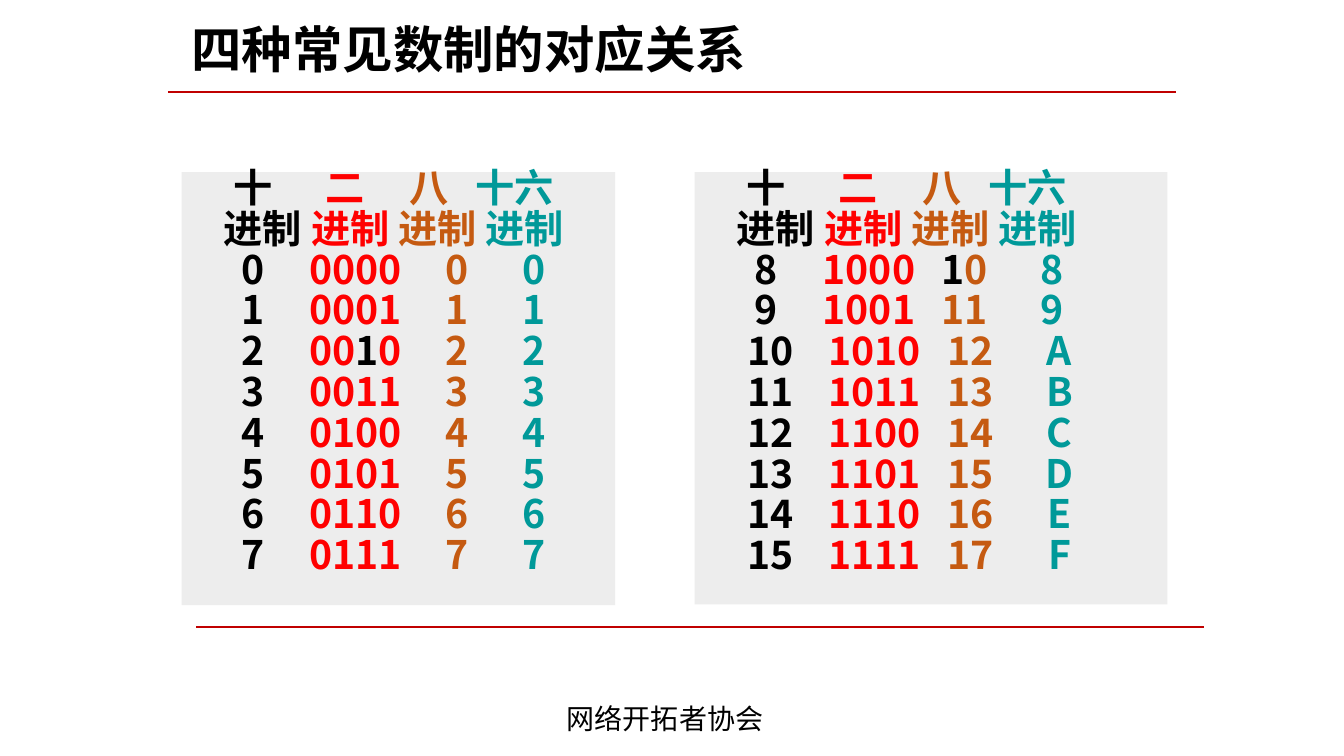
from dataclasses import dataclass

from lxml import etree
from pptx import Presentation
from pptx import util as u
from pptx.dml import color
from pptx.enum import shapes, text
from pptx.oxml import ns


@dataclass(frozen=True)
class Theme:
    font: str = "Noto Sans CJK SC"
    ink: str = "000000"
    rule: str = "C00000"
    panel: str = "EDEDED"
    bases: tuple = ("000000", "FF0000", "C55A11", "009999")
    title_size: int = 36
    table_size: int = 28
    footer_size: int = 20


THEME = Theme()
HEADINGS = ("十", "二", "八", "十六")
HEADING_STOPS = (45, 110.7, 170.7, 231.4)
UNIT_STOPS = (51.8, 114.3, 176.4, 238.6)
LOW_STOPS = (44.6, 117.9, 190.7, 245.4)
MIDDLE_STOPS = (45, 118.2, 186.4, 249.3)
HIGH_STOPS = (47.9, 122.1, 190.7, 254.3)
INK_DIGITS = {(2, 1): "00|1|0", (8, 2): "|1|0"}


def rgb(value):
    return color.RGBColor.from_string(value)


def write(paragraph, words, size, colour=THEME.ink, bold=False):
    run = paragraph.add_run()
    run.text = words
    run.font.name = THEME.font
    run.font.size = u.Pt(size)
    run.font.bold = bold
    run.font.color.rgb = rgb(colour)
    east_asian = etree.SubElement(run.font._element, ns.qn("a:ea"))
    east_asian.set("typeface", THEME.font)


def frame_line(frame, words, size, bold=False):
    frame.word_wrap = True
    frame.auto_size = text.MSO_AUTO_SIZE.NONE
    frame.vertical_anchor = text.MSO_ANCHOR.MIDDLE
    line = frame.paragraphs[0]
    line.alignment = text.PP_ALIGN.LEFT
    write(line, words, size, bold=bold)


def add_rule(slide, left, top, width, weight):
    rule = slide.shapes.add_connector(
        shapes.MSO_CONNECTOR.STRAIGHT,
        u.Pt(left), u.Pt(top), u.Pt(left + width), u.Pt(top))
    rule.line.color.rgb = rgb(THEME.rule)
    rule.line.width = u.Pt(weight)
    etree.SubElement(rule._element.spPr, ns.qn("a:effectLst"))


def add_title(slide, left, top, width, height):
    title = slide.shapes.title
    title.left, title.top = u.Pt(left), u.Pt(top)
    title.width, title.height = u.Pt(width), u.Pt(height)
    frame_line(title.text_frame, "四种常见数制的对应关系", THEME.title_size, bold=True)


def add_footer(slide, left, top, width, height):
    footer = slide.shapes.add_textbox(u.Pt(left), u.Pt(top), u.Pt(width), u.Pt(height))
    frame_line(footer.text_frame, "网络开拓者协会", THEME.footer_size)


def number_row(number):
    cells = (f"{number}", f"{number:04b}", f"{number:o}", f"{number:X}")
    marked = [INK_DIGITS.get((number, base), cell) for base, cell in enumerate(cells)]
    stops = LOW_STOPS if number < 8 else MIDDLE_STOPS if number < 10 else HIGH_STOPS
    return marked, stops


def set_stops(row, stops):
    tabs = etree.SubElement(row._p.get_or_add_pPr(), ns.qn("a:tabLst"))
    for stop in stops:
        etree.SubElement(tabs, ns.qn("a:tab"), pos=str(u.Pt(stop)), algn="ctr")


def add_panel(slide, left, top, width, height, numbers):
    panel = slide.shapes.add_shape(
        shapes.MSO_SHAPE.RECTANGLE, u.Pt(left), u.Pt(top), u.Pt(width), u.Pt(height))
    panel.shadow.inherit = False
    panel.fill.solid()
    panel.fill.fore_color.rgb = rgb(THEME.panel)
    panel.line.fill.background()
    frame = panel.text_frame
    frame.word_wrap = True
    frame.vertical_anchor = text.MSO_ANCHOR.TOP
    frame.margin_left = u.Pt(6.3)
    frame.margin_right = frame.margin_bottom = u.Pt(5.8)
    frame.margin_top = u.Pt(2.9)

    rows = [(HEADINGS, HEADING_STOPS), (("进制",) * 4, UNIT_STOPS)]
    rows += [number_row(number) for number in numbers]
    for index, (cells, stops) in enumerate(rows):
        row = frame.add_paragraph() if index else frame.paragraphs[0]
        set_stops(row, stops)
        row.alignment = text.PP_ALIGN.LEFT
        row.line_spacing = 0.7
        row.space_before = u.Pt(5.6 if index else 0)
        for cell, colour in zip(cells, THEME.bases):
            write(row, "\t", THEME.table_size, colour, bold=True)
            for part, digits in enumerate(cell.split("|")):
                if digits:
                    write(row, digits, THEME.table_size,
                          THEME.ink if part % 2 else colour, bold=True)


def main():
    deck = Presentation()
    deck.slide_width, deck.slide_height = u.Pt(960), u.Pt(540)
    slide = deck.slides.add_slide(deck.slide_layouts[5])
    add_rule(slide, 120, 65.5, 720, 1.5)
    add_rule(slide, 140.2, 447.8, 720, 1.5)
    add_title(slide, 129.6, 8.8, 684, 51.1)
    add_footer(slide, 397.8, 497.5, 275, 31.7)
    add_panel(slide, 129.8, 122.9, 309.6, 309.4, range(8))
    add_panel(slide, 496.2, 122.9, 337.7, 308.9, range(8, 16))
    deck.save("out.pptx")


if __name__ == "__main__":
    main()
